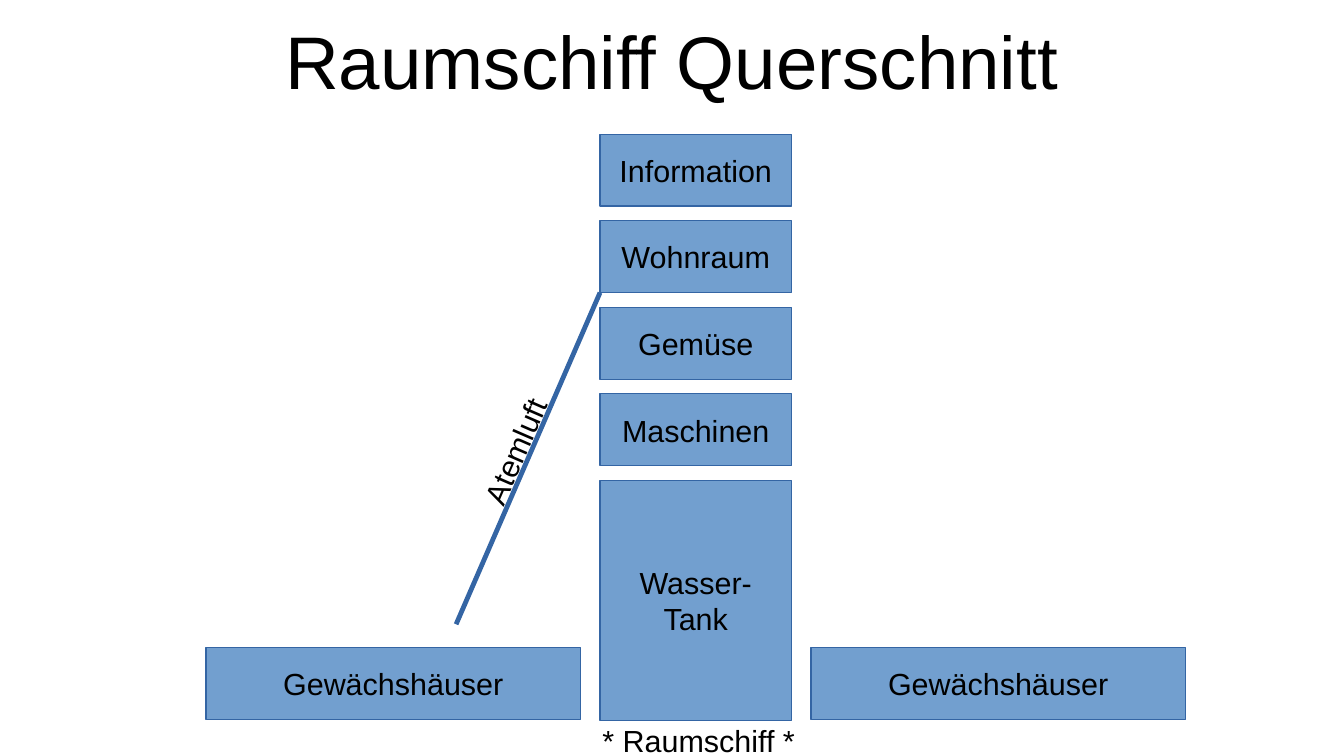
from lxml import etree
from pptx import Presentation
from pptx.dml.color import RGBColor
from pptx.enum import shapes, text
from pptx.oxml import ns
from pptx.util import Inches, Pt

BLACK = RGBColor(0x00, 0x00, 0x00)
ROOM_BLUE = RGBColor(0x72, 0x9F, 0xCF)
EDGE_BLUE = RGBColor(0x34, 0x65, 0xA4)

TOWER_LEFT, TOWER_WIDTH = 4.92, 1.57
ROOM_HEIGHT, FLOOR_STEP, TOWER_TOP = 0.59, 0.71, 1.1
GREENHOUSE_TOP, GREENHOUSE_WIDTH = 5.31, 3.07


def write(shape, words, size=18, align=text.PP_ALIGN.CENTER):
    frame = shape.text_frame
    frame.text = words
    frame.word_wrap = True
    for paragraph in frame.paragraphs:
        paragraph.alignment = align
        for run in paragraph.runs:
            run.font.name = "Arial"
            run.font.size = Pt(size)
            run.font.color.rgb = BLACK


prs = Presentation()
prs.slide_width, prs.slide_height = Inches(11.02), Inches(6.2)
slide = prs.slides.add_slide(prs.slide_layouts[5])

# Title
title = slide.shapes.title
title.left, title.top = Inches(0.55), Inches(-0.03)
title.width, title.height = Inches(9.92), Inches(1.04)
write(title, "Raumschiff Querschnitt", size=44)
title_frame = title.text_frame
title_frame.auto_size = text.MSO_AUTO_SIZE.NONE
title_frame.vertical_anchor = text.MSO_ANCHOR.MIDDLE
title_frame.margin_left = title_frame.margin_right = 0
title_frame.margin_top = title_frame.margin_bottom = 0

# Tower floors from top to bottom, then the greenhouses on both sides
floors = ["Information", "Wohnraum", "Gemüse", "Maschinen"]
rooms = [
    (name, TOWER_LEFT, TOWER_TOP + level * FLOOR_STEP, TOWER_WIDTH, ROOM_HEIGHT)
    for level, name in enumerate(floors)
]
rooms.append(("Wasser-\nTank", TOWER_LEFT, TOWER_TOP + len(floors) * FLOOR_STEP,
              TOWER_WIDTH, 1.97))
for greenhouse_left in (1.69, 6.65):
    rooms.append(("Gewächshäuser", greenhouse_left, GREENHOUSE_TOP,
                  GREENHOUSE_WIDTH, ROOM_HEIGHT))

for name, left, top, width, height in rooms:
    room = slide.shapes.add_shape(
        shapes.MSO_SHAPE.RECTANGLE,
        Inches(left), Inches(top), Inches(width), Inches(height))
    room.shadow.inherit = False
    room.fill.solid()
    room.fill.fore_color.rgb = ROOM_BLUE
    room.line.color.rgb = EDGE_BLUE
    room.line.width = Pt(0)
    room.text_frame.vertical_anchor = text.MSO_ANCHOR.MIDDLE
    write(room, name)

# Breathing air line from the greenhouse up to the living space
air_line = slide.shapes.add_connector(
    shapes.MSO_CONNECTOR.STRAIGHT,
    Inches(3.74), Inches(5.12), Inches(TOWER_LEFT), Inches(2.4))
air_line.line.color.rgb = EDGE_BLUE
air_line.line.width = Pt(2.83)
etree.SubElement(air_line._element.spPr, ns.qn("a:effectLst"))

# Label along the air line
air_label = slide.shapes.add_textbox(
    Inches(3.57), Inches(3.5), Inches(1.3), Inches(0.4))
air_label.rotation = -66.5
air_label.text_frame.vertical_anchor = text.MSO_ANCHOR.MIDDLE
write(air_label, "Atemluft")

# Caption below the tower
caption = slide.shapes.add_textbox(
    Inches(4.84), Inches(5.87), Inches(2.09), Inches(0.38))
write(caption, "* Raumschiff *", align=text.PP_ALIGN.LEFT)

prs.save("out.pptx")
